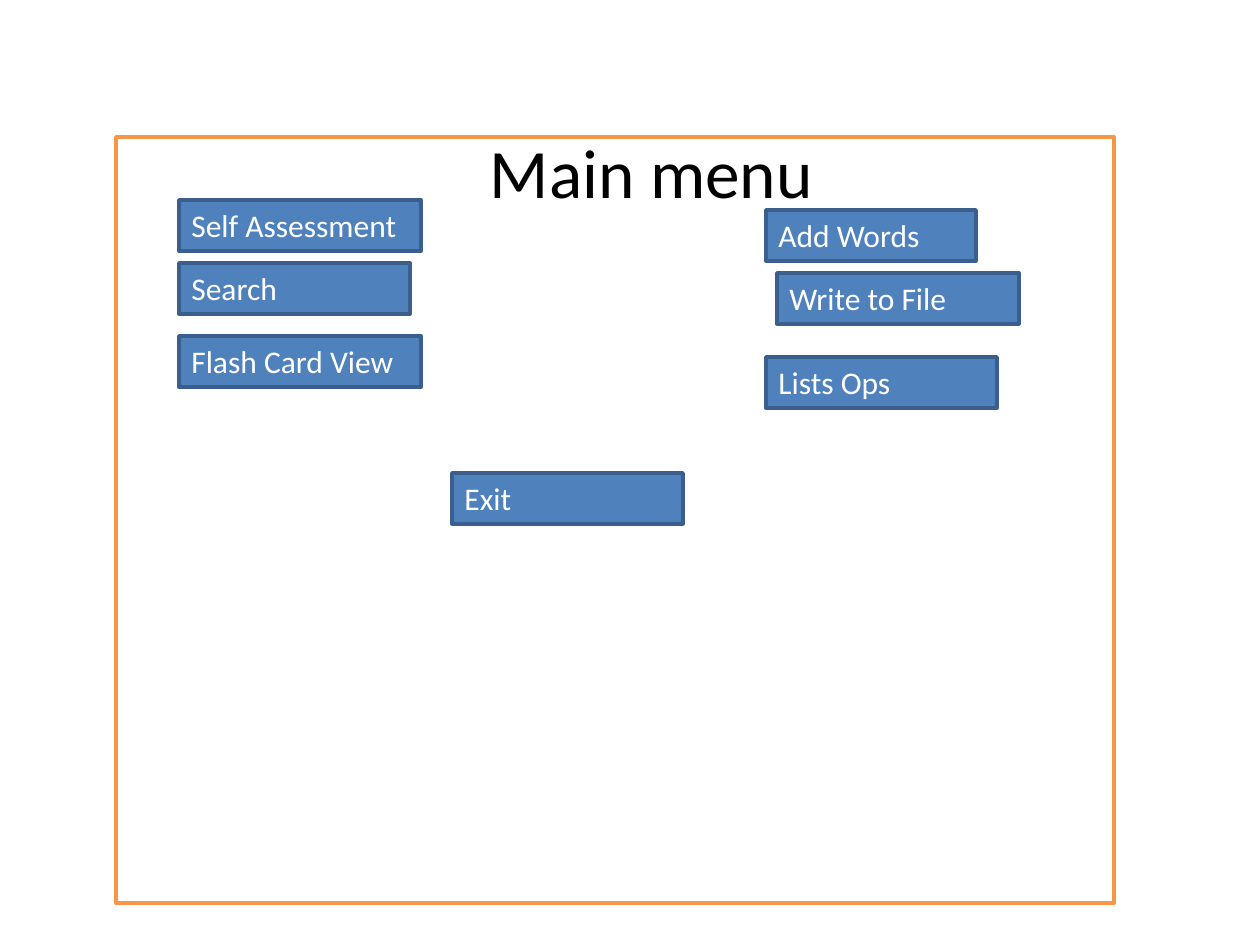
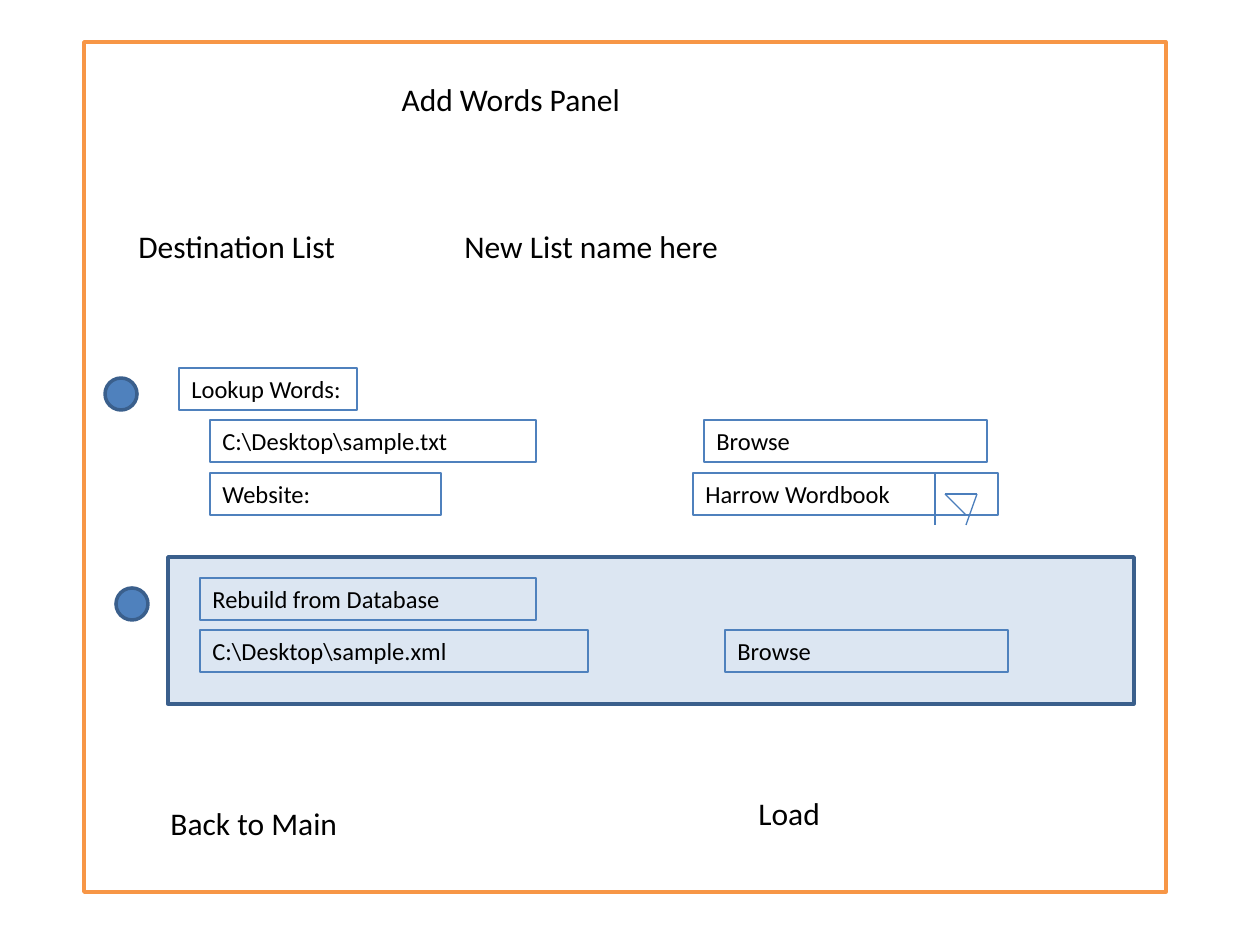
from dataclasses import dataclass
from typing import Optional

import pptx
import pptx.dml.color
import pptx.enum.shapes
import pptx.enum.text
import pptx.util
from lxml import etree

RGB = pptx.dml.color.RGBColor
SHAPE = pptx.enum.shapes.MSO_SHAPE
ANCHOR = pptx.enum.text.MSO_ANCHOR
ALIGN = pptx.enum.text.PP_ALIGN
FIT = pptx.enum.text.MSO_AUTO_SIZE

# Shared look
FONT = "Calibri"
WHITE = RGB(0xFF, 0xFF, 0xFF)
BLACK = RGB(0, 0, 0)
ORANGE = RGB(0xF7, 0x96, 0x46)
BLUE = RGB(0x4F, 0x81, 0xBD)
DARK_BLUE = RGB(0x3A, 0x5F, 0x8C)
PALE_BLUE = RGB(0xDC, 0xE6, 0xF2)
ARROW_BLUE = RGB(0x4B, 0x7E, 0xBC)

PX_PER_INCH = 126
DRAWING_NS = "http://schemas.openxmlformats.org/drawingml/2006/main"


@dataclass
class Style:
    size: float = 18
    color: RGB = BLACK
    fill: Optional[RGB] = None
    line: Optional[RGB] = None
    weight: float = 2


@dataclass
class Box:
    x: int
    y: int
    w: int
    h: int
    text: str = ""


BUTTON = Style(color=WHITE, fill=BLUE, line=DARK_BLUE)
FIELD = Style(size=14, line=BLUE, weight=0.75)
LABEL = Style()
FRAME = Style(fill=WHITE, line=ORANGE)
PANEL = Style(fill=PALE_BLUE, line=DARK_BLUE)
RADIO = Style(fill=BLUE, line=DARK_BLUE)
BUTTON_H = 51
FIELD_H = 42


def px(n: int) -> int:
    return round(n * pptx.util.Inches(1) / PX_PER_INCH)


def place(box: Box) -> list[int]:
    return [px(n) for n in (box.x, box.y, box.w, box.h)]


def paint(sp, style: Style) -> None:
    if style.fill is not None:
        sp.fill.solid()
        sp.fill.fore_color.rgb = style.fill
    if style.line is not None:
        sp.line.color.rgb = style.line
        sp.line.width = pptx.util.Pt(style.weight)


def write(tf, text: str, style: Style, align=ALIGN.LEFT, anchor=ANCHOR.TOP, fit=FIT.SHAPE_TO_FIT_TEXT) -> None:
    tf.word_wrap = True
    tf.auto_size = fit
    tf.vertical_anchor = anchor
    p = tf.paragraphs[0]
    p.alignment = align
    r = p.add_run()
    r.text = text
    r.font.name = FONT
    r.font.size = pptx.util.Pt(style.size)
    r.font.color.rgb = style.color


def add_shape(shapes, box: Box, style: Style, kind=SHAPE.RECTANGLE) -> None:
    sp = shapes.add_shape(kind, *place(box))
    sp.shadow.inherit = False
    paint(sp, style)
    if box.text:
        write(sp.text_frame, box.text, style)


def add_text(shapes, box: Box, style: Style) -> None:
    sp = shapes.add_textbox(*place(box))
    paint(sp, style)
    write(sp.text_frame, box.text, style)


def add_line(shapes, x1: int, y1: int, x2: int, y2: int) -> None:
    line = shapes.add_connector(pptx.enum.shapes.MSO_CONNECTOR.STRAIGHT, px(x1), px(y1), px(x2), px(y2))
    line.line.color.rgb = ARROW_BLUE
    line.line.width = pptx.util.Pt(0.75)
    etree.SubElement(line._element.spPr, f"{{{DRAWING_NS}}}effectLst")


def add_screen(prs, frame: Box, title: Box, style: Style, **layout):
    """Start a slide with its orange frame and the title in front of it."""
    s = prs.slides.add_slide(prs.slide_layouts.get_by_name("Title Only"))
    add_shape(s.shapes, frame, FRAME)
    sp = s.shapes.title
    sp.left, sp.top, sp.width, sp.height = place(title)
    write(sp.text_frame, title.text, style, **layout)
    s.shapes._spTree.append(sp._element)
    return s


def main_menu(prs) -> None:
    s = add_screen(prs, Box(116, 137, 998, 766), Box(179, 147, 945, 47, "Main menu"),
                   Style(size=39.6), align=ALIGN.CENTER, anchor=ANCHOR.MIDDLE, fit=FIT.NONE)
    for x, y, w, text in [
        (766, 210, 210, "Add Words"),
        (179, 200, 242, "Self Assessment"),
        (179, 263, 231, "Search"),
        (179, 336, 242, "Flash Card View"),
        (777, 273, 242, "Write to File"),
        (766, 357, 231, "Lists Ops"),
        (452, 473, 231, "Exit"),
    ]:
        add_shape(s.shapes, Box(x, y, w, BUTTON_H, text), BUTTON)


def add_words(prs) -> None:
    s = add_screen(prs, Box(84, 42, 1082, 850), Box(389, 74, 483, 52, "Add Words Panel"), LABEL)
    add_shape(s.shapes, Box(168, 557, 966, 147), PANEL)

    # Input fields
    for x, y, w, text in [
        (179, 368, 178, "Lookup Words:"),
        (210, 420, 326, "C:\\Desktop\\sample.txt"),
        (704, 420, 283, "Browse"),
        (210, 473, 231, "Website:"),
        (200, 578, 336, "Rebuild from Database"),
        (200, 630, 388, "C:\\Desktop\\sample.xml"),
        (725, 630, 283, "Browse"),
    ]:
        add_text(s.shapes, Box(x, y, w, FIELD_H, text), FIELD)

    # Website drop-down with its arrow
    group = s.shapes.add_group_shape()
    add_text(group.shapes, Box(693, 473, 305, FIELD_H, "Harrow Wordbook"), FIELD)
    for ends in [(935, 473, 935, 525), (945, 494, 966, 515),
                 (966, 525, 977, 494), (977, 494, 945, 494)]:
        add_line(group.shapes, *ends)

    # Radio buttons
    for x, y in [(105, 378), (116, 588)]:
        add_shape(s.shapes, Box(x, y, 32, 32), RADIO, SHAPE.OVAL)

    # Plain labels
    for box in [
        Box(126, 221, 305, 52, "Destination List"),
        Box(452, 221, 357, 51, "New List name here"),
        Box(158, 798, 210, 52, "Back to Main"),
        Box(746, 788, 283, 51, "Load"),
    ]:
        add_text(s.shapes, box, LABEL)


prs = pptx.Presentation()
prs.slide_width = pptx.util.Inches(10)
prs.slide_height = pptx.util.Inches(7.5)
main_menu(prs)
add_words(prs)
prs.save("out.pptx")
